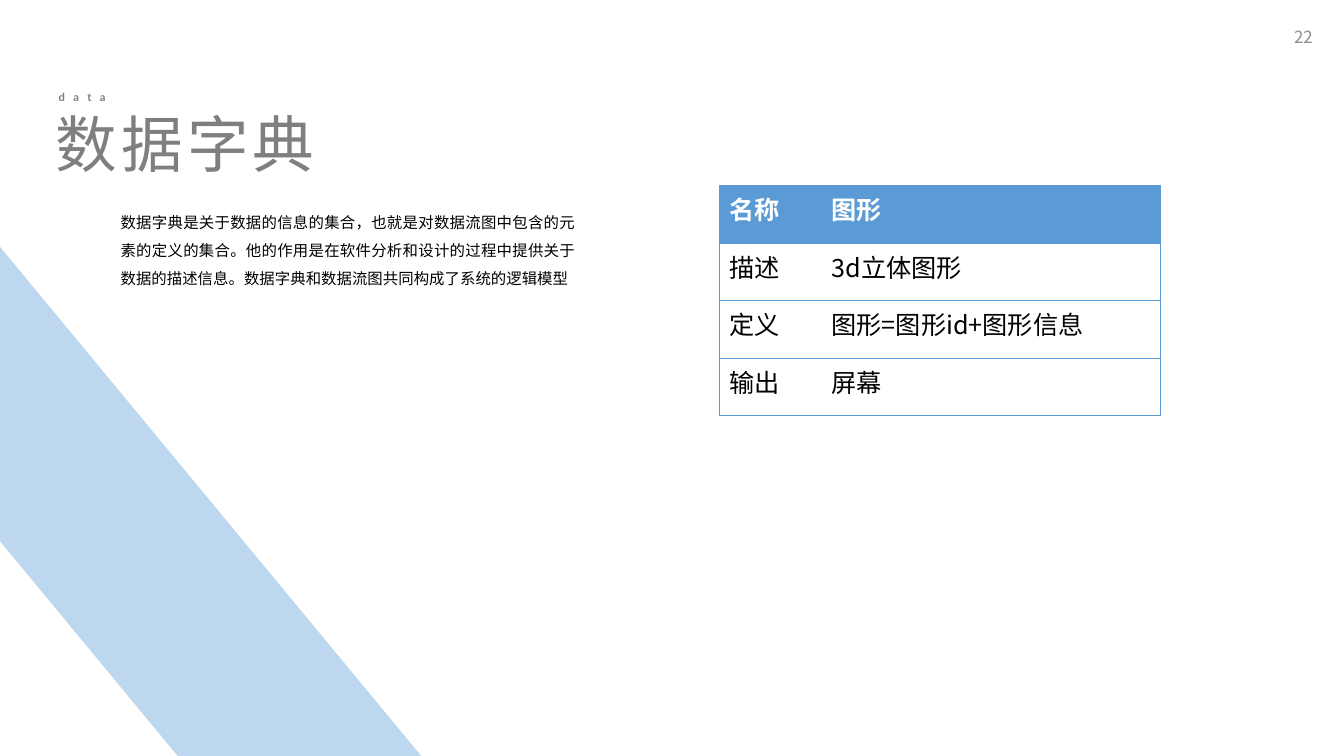
import pptx
import pptx.dml.color
import pptx.enum.shapes
import pptx.enum.text
import pptx.oxml
import pptx.oxml.ns
import pptx.util
from pptx.dml.color import RGBColor
from pptx.enum.text import MSO_ANCHOR, PP_ALIGN
from pptx.util import Cm

GREY = RGBColor(0x7F, 0x7F, 0x7F)
PAGE_GREY = RGBColor(0x8C, 0x8C, 0x8C)
BLACK = RGBColor(0, 0, 0)
WHITE = RGBColor(0xFF, 0xFF, 0xFF)
BLUE = RGBColor(0x5B, 0x9B, 0xD5)
PALE_BLUE = RGBColor(0xBD, 0xD7, 0xEE)
CJK_FONT = "Noto Sans CJK SC"

DESCRIPTION = (
    "数据字典是关于数据的信息的集合，也就是对数据流图中包含的元素的定义的集合。"
    "他的作用是在软件分析和设计的过程中提供关于数据的描述信息。"
    "数据字典和数据流图共同构成了系统的逻辑模型"
)
ENTRIES = [
    ("名称", "图形"),
    ("描述", "3d立体图形"),
    ("定义", "图形=图形id+图形信息"),
    ("输出", "屏幕"),
]


def write(frame, text, size, color, font=CJK_FONT, bold=False,
          align=PP_ALIGN.LEFT, line_spacing=1.0, letter_spacing=0):
    """Fill the frame with one formatted paragraph; letter spacing is in points."""
    para = frame.paragraphs[0]
    para.alignment = align
    para.line_spacing = line_spacing
    span = para.add_run()
    span.text = text
    span.font.size = pptx.util.Pt(size)
    span.font.bold = bold
    span.font.color.rgb = color
    span.font.name = font
    properties = span.font._element
    if letter_spacing:
        properties.set("spc", str(letter_spacing * 100))
    east_asian = pptx.oxml.parse_xml(
        f'<a:ea {pptx.oxml.ns.nsdecls("a")} typeface="{CJK_FONT}"/>')
    properties.find(pptx.oxml.ns.qn("a:latin")).addnext(east_asian)


def add_text(page, left, top, width, height, text, inset=0.1, wrap=True,
             anchor=MSO_ANCHOR.TOP, **text_format):
    box = page.shapes.add_textbox(Cm(left), Cm(top), Cm(width), Cm(height))
    frame = box.text_frame
    frame.word_wrap = wrap
    frame.vertical_anchor = anchor
    frame.margin_left = frame.margin_right = Cm(inset)
    frame.margin_top = frame.margin_bottom = Cm(inset)
    write(frame, text, **text_format)


def add_band(page, left, top, width, height, rotation):
    band = page.shapes.add_shape(
        pptx.enum.shapes.MSO_SHAPE.PARALLELOGRAM,
        Cm(left), Cm(top), Cm(width), Cm(height))
    band.rotation = rotation
    band.shadow.inherit = False
    band.fill.solid()
    band.fill.fore_color.rgb = PALE_BLUE
    band.line.color.rgb = PALE_BLUE
    band.line.width = pptx.util.Pt(1)


def set_borders(cell, visible):
    """Draw the sides named in visible (from L, R, T, B) and clear the others."""
    properties = cell._tc.get_or_add_tcPr()
    for position, side in enumerate("LRTB"):
        paint = (f'<a:solidFill><a:srgbClr val="{BLUE}"/></a:solidFill>'
                 if side in visible else "<a:noFill/>")
        properties.insert(position, pptx.oxml.parse_xml(
            f'<a:ln{side} {pptx.oxml.ns.nsdecls("a")} w="6350">{paint}</a:ln{side}>'))


def add_dictionary(page, left, top, column_widths, row_height):
    table = page.shapes.add_table(
        len(ENTRIES), len(column_widths), Cm(left), Cm(top),
        Cm(sum(column_widths)), Cm(row_height * len(ENTRIES))).table
    table.horz_banding = False
    for column, width in zip(table.columns, column_widths):
        column.width = Cm(width)
    for row_number, entry in enumerate(ENTRIES):
        header = row_number == 0
        for column_number, text in enumerate(entry):
            cell = table.cell(row_number, column_number)
            cell.fill.solid()
            cell.fill.fore_color.rgb = BLUE if header else WHITE
            set_borders(cell, "LTB" if column_number == 0 else "RTB")
            write(cell.text_frame, text, 18, WHITE if header else BLACK, bold=header)


def main():
    deck = pptx.Presentation()
    deck.slide_width, deck.slide_height = Cm(33.87), Cm(19.05)
    page = deck.slides.add_slide(deck.slide_layouts[6])

    add_text(page, 1.3, 2.92, 11.3, 1.75, "数据字典", size=44, color=GREY,
             font="Lato", line_spacing=0.8, letter_spacing=3)
    add_text(page, 1.27, 2.24, 1.6, 0.48, "data", wrap=False,
             anchor=MSO_ANCHOR.MIDDLE, size=8, color=GREY, font="Lato", bold=True,
             align=PP_ALIGN.CENTER, line_spacing=0.8, letter_spacing=6)
    add_text(page, 32.21, 0.45, 1.12, 0.97, "22", inset=0.25,
             anchor=MSO_ANCHOR.MIDDLE, size=12, color=PAGE_GREY, align=PP_ALIGN.RIGHT)
    add_text(page, 2.96, 5.06, 11.62, 2.16, DESCRIPTION, inset=0.08, size=11,
             color=BLACK, font="Montserrat", align=PP_ALIGN.JUSTIFY, line_spacing=1.5)
    add_band(page, 0.94, 2.03, 6.27, 25.65, rotation=136.9)
    add_dictionary(page, 18.13, 4.67, column_widths=(2.57, 8.53), row_height=1.45)

    deck.save("out.pptx")


if __name__ == "__main__":
    main()
